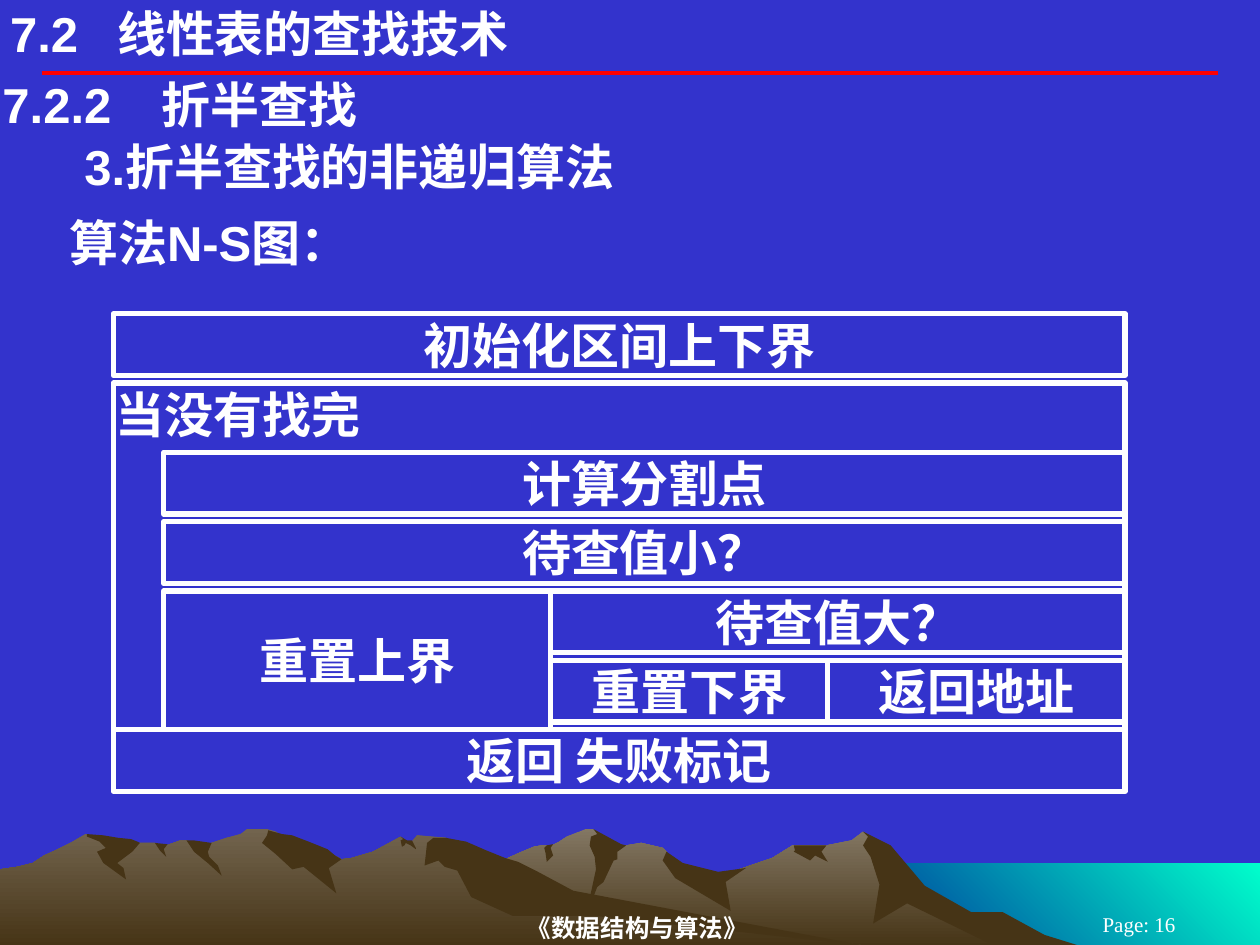
"""Build the N-S chart slide for non-recursive binary search."""
from dataclasses import dataclass
from typing import Any

from lxml import etree
from pptx import Presentation
from pptx import util as u
from pptx.dml.color import RGBColor
from pptx.enum import shapes, text
from pptx.oxml import ns


@dataclass(frozen=True)
class Theme:
    back: str = "3333CC"
    ink: str = "FFFFFF"
    rule: str = "FF0000"
    shade: str = "463416"
    front: tuple = ("837763", "463416")
    rear: tuple = ("72644E", "463416")
    sea: tuple = ("00FFCC", "003399")
    sans: str = "Arial"
    serif: str = "Times New Roman"
    head: int = 28
    foot: int = 14
    page: int = 12


LEFT, MID = text.PP_ALIGN.LEFT, text.PP_ALIGN.CENTER
TOP, CENTER = text.MSO_ANCHOR.TOP, text.MSO_ANCHOR.MIDDLE


@dataclass
class Deck:
    look: Theme
    slide: Any

    def letter(self, shape, words, size=None, face=None, bold=True,
               align=LEFT, anchor=TOP, pad=(0.02, 0.01), tab=None):
        frame = shape.text_frame
        frame.word_wrap = True
        frame.auto_size = text.MSO_AUTO_SIZE.NONE
        frame.vertical_anchor = anchor
        frame.margin_left = frame.margin_right = u.Inches(pad[0])
        frame.margin_top = frame.margin_bottom = u.Inches(pad[1])
        frame.text = words
        para = frame.paragraphs[0]
        para.alignment = align
        if tab:
            tabs = etree.SubElement(para._p.get_or_add_pPr(), ns.qn("a:tabLst"))
            etree.SubElement(tabs, ns.qn("a:tab"), pos=str(u.Inches(tab)), algn="l")
        font = para.font
        font.name = face or self.look.sans
        font.size = u.Pt(size or self.look.head)
        font.bold = bold
        font.color.rgb = RGBColor.from_string(self.look.ink)

    def title(self, words, x, y, w, h, **style):
        shape = self.slide.shapes.title
        shape.left, shape.top = u.Inches(x), u.Inches(y)
        shape.width, shape.height = u.Inches(w), u.Inches(h)
        self.letter(shape, words, **style)

    def label(self, words, x, y, w, h, **style):
        area = map(u.Inches, (x, y, w, h))
        self.letter(self.slide.shapes.add_textbox(*area), words, **style)

    def cell(self, words, x, y, w, h, **style):
        area = map(u.Inches, (x, y, w, h))
        shape = self.slide.shapes.add_shape(shapes.MSO_SHAPE.RECTANGLE, *area)
        shape.shadow.inherit = False
        shape.fill.background()
        shape.line.color.rgb = RGBColor.from_string(self.look.ink)
        shape.line.width = u.Pt(3)
        self.letter(shape, words, **style)

    def rule(self, x, y, end):
        line = self.slide.shapes.add_connector(
            shapes.MSO_CONNECTOR.STRAIGHT, *map(u.Inches, (x, y, end, y)))
        line.line.color.rgb = RGBColor.from_string(self.look.rule)
        line.line.width = u.Pt(2.25)
        etree.SubElement(line._element.spPr, ns.qn("a:effectLst"))

    def land(self, fill, dots, turn=270):
        spots = [tuple(map(int, dot.split(","))) for dot in dots.split()]
        form = self.slide.shapes.build_freeform(*spots[0], scale=u.Inches(0.01))
        form.add_line_segments(spots[1:], close=True)
        shape = form.convert_to_shape()
        shape.shadow.inherit = False
        shape.line.fill.background()
        if isinstance(fill, str):
            shape.fill.solid()
            shape.fill.fore_color.rgb = RGBColor.from_string(fill)
            return
        shape.fill.gradient()
        shape.fill.gradient_angle = turn
        for stop, tone in zip(shape.fill.gradient_stops, fill):
            stop.color.rgb = RGBColor.from_string(tone)


look = Theme()
show = Presentation()
show.slide_width, show.slide_height = u.Inches(10), u.Inches(7.5)
deck = Deck(look, show.slides.add_slide(show.slide_layouts[5]))
back = deck.slide.background.fill
back.solid()
back.fore_color.rgb = RGBColor.from_string(look.back)

FRONT = """802,740 778,727 764,723 723,698 702,671 685,660 676,667 656,671 629,671
613,681 566,697 536,690 529,676 526,673 509,669 497,671 486,673 474,661 471,658
465,658 450,664 444,668 438,671 430,671 424,672 412,677 399,683 394,685 355,698
327,709 277,739 258,751 821,751"""
REAR = """690,751 667,748 432,712 354,665 331,663 327,668 323,668 318,664 296,676
279,681 271,682 260,676 236,681 223,663 219,660 212,658 196,658 191,662 180,665
168,669 160,671 148,667 143,667 132,671 128,671 123,669 111,669 94,671 68,662
56,669 46,674 35,679 26,685 14,688 0,690 0,751"""
FRONT_SHADE = (
    """796,724 771,724 734,703 707,671 685,660 689,664 685,671 691,680 698,702
    693,733 720,717 792,752 858,751 829,742""",
    """471,658 474,662 469,664 468,671 472,680 473,690 465,727 474,704 479,700
    487,683 490,682 490,676 497,671 493,670""",
    "529,676 526,683 536,697 580,723 576,700 592,689 570,692 542,685",
    "650,671 630,671 631,675 630,676 643,683 647,679 657,684 652,676 656,671",
    "433,677 432,673 434,671 439,670 437,673 439,679 434,684",
)
REAR_SHADE = (
    """212,663 208,669 219,678 232,690 241,688 267,709 261,689 271,682 266,679
    260,674 245,668 232,663 224,662 213,659""",
    """370,668 354,665 344,665 339,669 337,687 348,683 353,688 363,691 374,712
    407,727 472,727 690,751 683,750 455,707 427,692 411,684 401,681 386,675""",
    """318,667 320,666 318,664 323,667 327,667 330,673 330,674 326,671 322,669
    321,671 319,672""",
    "154,667 168,669 165,676 166,680 173,687 176,695 165,685 154,676 148,667",
    "133,670 130,674 132,680 127,675 123,669",
    """109,668 111,669 105,676 93,685 98,689 100,698 82,685 77,676 84,673 79,668
    69,664 69,662 82,663 94,665 104,666""",
)
deck.land(look.sea, "1000,750 683,750 683,685 1000,685", 225)
for slope, tones, shades in ((FRONT, look.front, FRONT_SHADE),
                             (REAR, look.rear, REAR_SHADE)):
    deck.land(tones, slope)
    for dots in shades:
        deck.land(look.shade, dots)

deck.rule(0.33, 0.58, 9.67)
deck.label("《数据结构与算法》", 2.03, 7.22, 6.06, 0.28, size=look.foot,
           face=look.serif, align=MID, anchor=CENTER, pad=(0, 0.01))
deck.label("Page: 16", 8.25, 7.25, 1.58, 0.17, size=look.page, face=look.serif,
           bold=False, align=MID, anchor=CENTER, pad=(0.1, 0.05))
deck.title("7.2\t线性表的查找技术", 0.08, 0.03, 6.5, 0.47, pad=(0, 0), tab=0.85)
deck.label("7.2.2\t折半查找", 0, 0.58, 10, 0.49, tab=1.26)
deck.label("3.折半查找的非递归算法", 0.65, 1.07, 9.35, 0.49)
deck.label("算法N-S图：", 0.53, 1.68, 9.47, 0.49)

EDGES = (0.9, 1.3, 4.37, 6.57, 8.93)
ROW, HIGH, STEP = 2.49, 0.49, 0.55
CELLS = (
    ("初始化区间上下界", 0, 0, 4, HIGH, MID, TOP),
    ("当没有找完", 1, 0, 4, 5 * STEP, LEFT, TOP),
    ("计算分割点", 2, 1, 4, HIGH, MID, TOP),
    ("待查值小？", 3, 1, 4, HIGH, MID, TOP),
    ("重置上界", 4, 1, 2, 2 * STEP, MID, CENTER),
    ("待查值大？", 4, 2, 4, HIGH, MID, TOP),
    ("重置下界", 5, 2, 3, HIGH, MID, TOP),
    ("返回地址", 5, 3, 4, HIGH, MID, TOP),
    ("返回 失败标记", 6, 0, 4, HIGH, MID, TOP),
)
for words, row, start, end, high, align, anchor in CELLS:
    deck.cell(words, EDGES[start], ROW + row * STEP, EDGES[end] - EDGES[start],
              high, align=align, anchor=anchor)

show.save("out.pptx")
